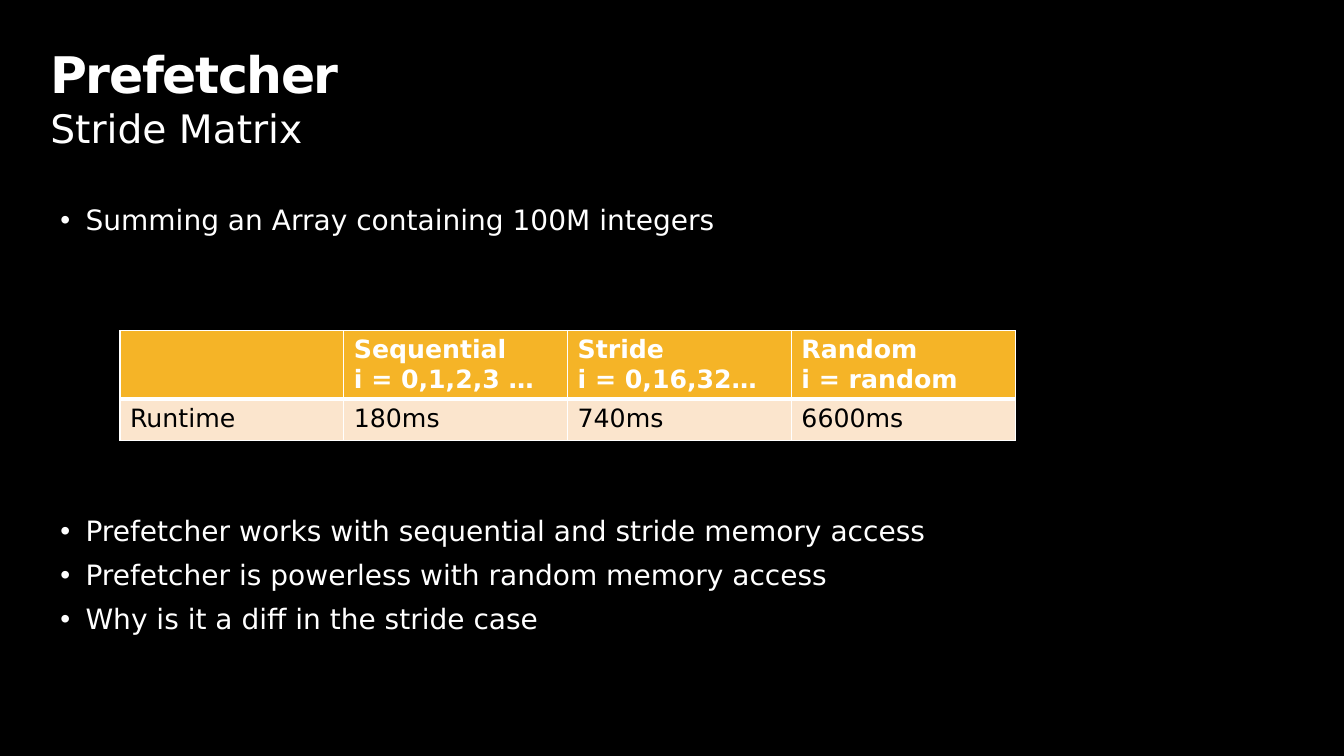
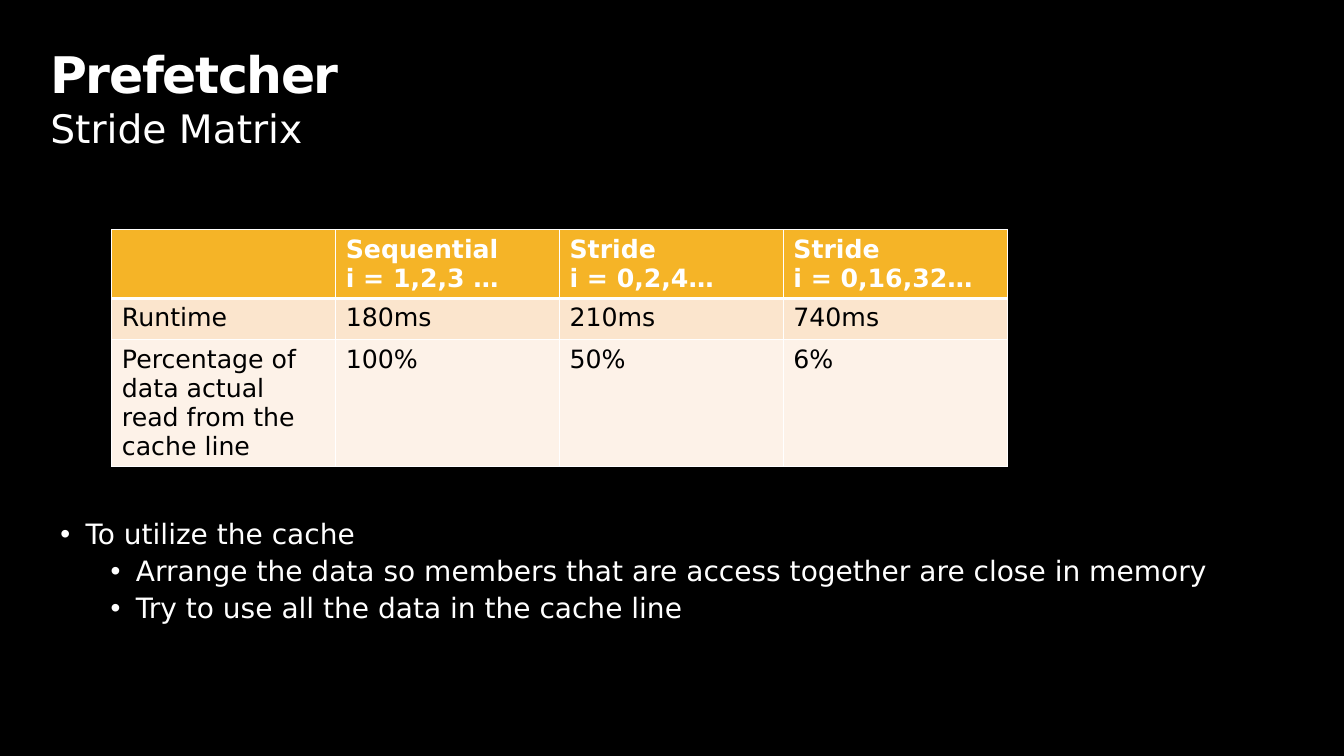
import pptx
import pptx.dml.color
import pptx.enum.text
import pptx.oxml
import pptx.oxml.ns
import pptx.util
import lxml.etree

Inches = pptx.util.Inches
Pt = pptx.util.Pt
FONT = "DejaVu Sans"
COLORS = {
    "background": "000000",
    "light": "FFFFFF",
    "dark": "000000",
    "header": "F5B427",
    "band_odd": "FBE5CD",
    "band_even": "FDF2E8",
}
COLUMN_WIDTH = 2.22
HEADER_HEIGHT = 0.68
RULE, HEADER_RULE = 1, 3


def rgb(name):
    return pptx.dml.color.RGBColor.from_string(COLORS[name])


def sub(parent, tag, **attrs):
    return lxml.etree.SubElement(parent, pptx.oxml.ns.qn(tag), attrs)


# Text
def add_run(p, text, size, color="light", bold=False):
    r = p.add_run()
    r.text = text
    r.font.name = FONT
    r.font.size = Pt(size)
    r.font.bold = bold
    r.font.color.rgb = rgb(color)
    return r


def setup_frame(tf, left=0.1, top=0.05, right=0.1, bottom=0.05):
    tf.word_wrap = True
    tf.auto_size = pptx.enum.text.MSO_AUTO_SIZE.NONE
    tf.vertical_anchor = pptx.enum.text.MSO_ANCHOR.TOP
    tf.margin_left, tf.margin_top = Inches(left), Inches(top)
    tf.margin_right, tf.margin_bottom = Inches(right), Inches(bottom)


def add_heading(s, title, subtitle):
    sp = s.shapes.title
    sp.left, sp.top = Inches(0.5), Inches(0.5)
    sp.width, sp.height = Inches(12.33), Inches(0.69)
    setup_frame(sp.text_frame, 0, 0, 0, 0)
    p = sp.text_frame.paragraphs[0]
    p.alignment = pptx.enum.text.PP_ALIGN.LEFT
    p.line_spacing = 0.9
    r = add_run(p, title, 36, bold=True)
    r.font._element.set("spc", "-100")

    sp = s.shapes.add_textbox(Inches(0.5), Inches(1.04), Inches(11.5), Inches(0.66))
    setup_frame(sp.text_frame, left=0)
    p = sp.text_frame.paragraphs[0]
    p.line_spacing = 0.9
    add_run(p, subtitle, 28)


def add_bullets(s, top, height, items):
    """Each item is a pair of level and text."""
    sp = s.shapes.add_textbox(Inches(0.5), Inches(top), Inches(12.33), Inches(height))
    tf = sp.text_frame
    setup_frame(tf)
    for i, (level, text) in enumerate(items):
        p = tf.paragraphs[0] if i == 0 else tf.add_paragraph()
        p.level = level
        p.line_spacing = 0.9
        p.space_before = Pt(5 if level else 10) if i else Pt(0)
        pPr = p._p.get_or_add_pPr()
        pPr.set("marL", str(Inches(0.25 + 0.5 * level)))
        pPr.set("indent", str(Inches(-0.25)))
        sub(pPr, "a:buFont", typeface="Arial")
        sub(pPr, "a:buChar", char="•")
        add_run(p, text, 20)


# Tables
def set_borders(cell, **widths):
    tcPr = cell._tc.get_or_add_tcPr()
    for side in "LRTB":
        ln = sub(tcPr, f"a:ln{side}", w=str(Pt(widths.get(side, RULE))))
        sub(sub(ln, "a:solidFill"), "a:srgbClr", val=COLORS["light"])


def fill_cell(cell, text, row):
    if row == 0:
        fill, color, borders = "header", "light", {"B": HEADER_RULE}
    else:
        fill, color = ("band_odd" if row % 2 else "band_even"), "dark"
        borders = {"T": HEADER_RULE} if row == 1 else {}
    set_borders(cell, **borders)
    cell.fill.solid()
    cell.fill.fore_color.rgb = rgb(fill)
    p = cell.text_frame.paragraphs[0]
    for i, line in enumerate(text.split("\n") if text else []):
        if i:
            p.add_line_break()
        add_run(p, line, 18, color, bold=row == 0)


def add_grid(s, left, top, rows, body_heights):
    heights = [HEADER_HEIGHT, *body_heights]
    cols = len(rows[0])
    table = s.shapes.add_table(
        len(rows), cols, Inches(left), Inches(top),
        Inches(COLUMN_WIDTH * cols), Inches(sum(heights))).table
    table.horz_banding = False
    for column in table.columns:
        column.width = Inches(COLUMN_WIDTH)
    for i, (texts, height) in enumerate(zip(rows, heights)):
        table.rows[i].height = Inches(height)
        for j, text in enumerate(texts):
            fill_cell(table.cell(i, j), text, i)


def add_slide(prs):
    s = prs.slides.add_slide(prs.slide_layouts[5])
    add_heading(s, "Prefetcher", "Stride Matrix")
    return s


def main():
    prs = pptx.Presentation()
    prs.slide_width, prs.slide_height = Inches(13.33), Inches(7.5)
    background = prs.slide_master.background.fill
    background.solid()
    background.fore_color.rgb = rgb("background")

    # Runtime by access pattern
    s = add_slide(prs)
    add_bullets(s, 2, 0.5, [(0, "Summing an Array containing 100M integers")])
    add_bullets(s, 5.08, 1.68, [
        (0, "Prefetcher works with sequential and stride memory access"),
        (0, "Prefetcher is powerless with random memory access"),
        (0, "Why is it a diff in the stride case"),
    ])
    add_grid(s, 1.19, 3.28, [
        ["", "Sequential\ni = 0,1,2,3 …", "Stride\ni = 0,16,32…", "Random\ni = random"],
        ["Runtime", "180ms", "740ms", "6600ms"],
    ], [0.41])

    # Cache line use by stride
    s = add_slide(prs)
    add_bullets(s, 5.11, 1.65, [
        (0, "To utilize the cache"),
        (1, "Arrange the data so members that are access together are close in memory"),
        (1, "Try to use all the data in the cache line"),
    ])
    add_grid(s, 1.11, 2.28, [
        ["", "Sequential\ni = 1,2,3 …", "Stride\ni = 0,2,4…", "Stride\ni = 0,16,32…"],
        ["Runtime", "180ms", "210ms", "740ms"],
        ["Percentage of data actual read from the cache line", "100%", "50%", "6%"],
    ], [0.41, 1.26])

    prs.save("out.pptx")


if __name__ == "__main__":
    main()
